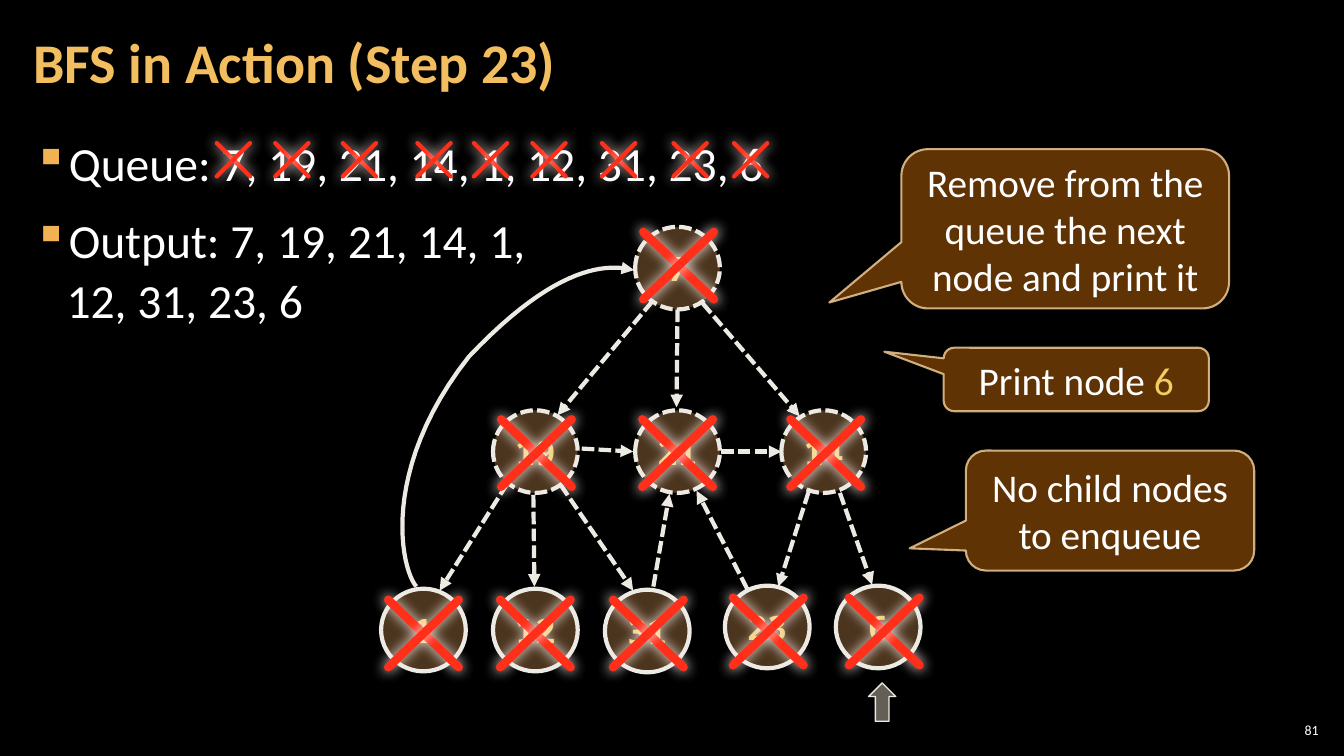
from lxml import etree
from pptx import Presentation
from pptx.dml.color import RGBColor
from pptx.enum.dml import MSO_LINE
from pptx.enum.shapes import MSO_CONNECTOR, MSO_SHAPE
from pptx.enum.text import MSO_ANCHOR, PP_ALIGN
from pptx.oxml.ns import qn
from pptx.util import Inches, Pt

DASHED = MSO_LINE.SQUARE_DOT
STRAIGHT = MSO_CONNECTOR.STRAIGHT
OVAL = MSO_SHAPE.OVAL
CALLOUT = MSO_SHAPE.ROUNDED_RECTANGULAR_CALLOUT
ARROW = MSO_SHAPE.RIGHT_ARROW
MIDDLE, TOP = MSO_ANCHOR.MIDDLE, MSO_ANCHOR.TOP
LEFT, CENTER, RIGHT = PP_ALIGN.LEFT, PP_ALIGN.CENTER, PP_ALIGN.RIGHT

BLACK = RGBColor(0x00, 0x00, 0x00)
WHITE = RGBColor(0xFF, 0xFF, 0xFF)
TITLE_GOLD = RGBColor(0xF3, 0xBE, 0x60)
BULLET_GOLD = RGBColor(0xF2, 0xB2, 0x54)
NUMBER_GOLD = RGBColor(0xF3, 0xCD, 0x60)
NODE_BROWN = RGBColor(0x6C, 0x4C, 0x2C)
CALLOUT_BROWN = RGBColor(0x66, 0x36, 0x06)
CALLOUT_EDGE = RGBColor(0xF8, 0xD4, 0x9E)
IVORY = RGBColor(0xEC, 0xEA, 0xE3)
ARROW_GREY = RGBColor(0xC7, 0xBF, 0xAC)
RED = RGBColor(0xFF, 0x2F, 0x19)
GLOW = RGBColor(0xFF, 0xED, 0xEB)

TEXT_FONT, NODE_FONT = "Calibri", "Noto Sans Mono"
TITLE = "BFS in Action (Step 23)"
PAGE_NUMBER = "81"
BULLETS = [
    ["Queue: 7, 19, 21, 14, 1, 12, 31, 23, 6"],
    ["Output: 7, 19, 21, 14, 1,", "12, 31, 23, 6"],
]
QUEUE_CROSSES = [2.15, 2.73, 3.4, 4.14, 4.7, 5.28, 5.97, 6.68, 7.28]
QUEUE_CROSS_TOP, QUEUE_CROSS_SIZE = 1.42, 0.33

NODE_WIDTH, NODE_HEIGHT = 0.84, 0.82
CROSS_WIDTH, CROSS_HEIGHT = 0.7, 0.67
LEVELS = [
    (DASHED, [("7", 6.3, 2.25, 6.38, 2.3)]),
    (DASHED, [("19", 4.89, 4.07, 4.97, 4.16), ("21", 6.3, 4.07, 6.37, 4.16),
              ("14", 7.75, 4.07, 7.84, 4.16)]),
    (None, [("1", 3.78, 5.84, 3.85, 5.95), ("12", 4.89, 5.84, 4.96, 5.95),
            ("31", 6, 5.85, 6.08, 5.95), ("23", 7.19, 5.81, 7.27, 5.93),
            ("6", 8.29, 5.81, 8.42, 5.93)]),
]
EDGES = {
    ("7", "19"): (6.47, 2.99, 5.53, 4.12),
    ("7", "21"): (6.72, 3.07, 6.71, 4.04),
    ("7", "14"): (6.97, 3.01, 7.93, 4.13),
    ("19", "21"): (5.77, 4.45, 6.28, 4.48),
    ("21", "14"): (7.15, 4.48, 7.75, 4.48),
    ("19", "1"): (5.03, 4.8, 4.36, 5.86),
    ("19", "12"): (5.29, 4.91, 5.3, 5.82),
    ("19", "31"): (5.56, 4.81, 6.28, 5.86),
    ("31", "21"): (6.48, 5.82, 6.64, 4.9),
    ("23", "21"): (7.41, 5.84, 6.91, 4.87),
    ("14", "23"): (8.02, 4.88, 7.72, 5.82),
    ("14", "6"): (8.33, 4.89, 8.65, 5.8),
}
BACK_EDGE = [
    [(4.13, 5.82), (3.98, 5.65), (3.76, 4.67), (4.65, 3.54)],
    [(4.65, 3.54), (5.54, 2.6), (6.04, 2.62), (6.29, 2.68)],
]
CURVE_STEPS = 24
CALLOUTS = [
    ((8.94, 1.48, 3.25, 1.58), (-0.72, 0.463),
     [("Remove from the queue the next node and print it", WHITE)]),
    ((9.58, 4.47, 2.86, 1.19), (-0.695, 0.315), [("No child nodes to enqueue", WHITE)]),
    ((9.36, 3.45, 2.63, 0.63), (-0.724, -0.437),
     [("Print node ", WHITE), ("6", NUMBER_GOLD)]),
]


def add_run(paragraph, text, size, color, font=TEXT_FONT, bold=False):
    run = paragraph.add_run()
    run.text = text
    run.font.name, run.font.size, run.font.bold = font, Pt(size), bold
    run.font.color.rgb = color


def add_text_box(slide, box, anchor, side_inset):
    frame = slide.shapes.add_textbox(*map(Inches, box)).text_frame
    frame.word_wrap, frame.vertical_anchor = True, anchor
    frame.margin_left = frame.margin_right = Inches(side_inset)
    frame.margin_top = frame.margin_bottom = Inches(0.04)
    return frame


def set_alpha(fill_element, percent):
    alpha = etree.SubElement(fill_element.find(qn("a:srgbClr")), qn("a:alpha"))
    alpha.set("val", str(percent * 1000))


def style_line(shape, color, width, dash=None, arrow=False):
    shape.line.color.rgb, shape.line.width = color, Pt(width)
    if dash:
        shape.line.dash_style = dash
    outline = shape.element.spPr.find(qn("a:ln"))
    if arrow:
        etree.SubElement(outline, qn("a:tailEnd"), type="triangle")
    return outline


def add_filled_shape(shapes, kind, box, fill, fill_alpha):
    shape = shapes.add_shape(kind, *map(Inches, box))
    shape.shadow.inherit = False
    shape.fill.solid()
    shape.fill.fore_color.rgb = fill
    set_alpha(shape.element.spPr.find(qn("a:solidFill")), fill_alpha)
    shape.text_frame.vertical_anchor = MIDDLE
    shape.text_frame.paragraphs[0].alignment = CENTER
    return shape


def add_line(shapes, ends, color, width, dash=None, arrow=False):
    connector = shapes.add_connector(STRAIGHT, *map(Inches, ends))
    outline = style_line(connector, color, width, dash, arrow)
    effects = etree.SubElement(connector.element.spPr, qn("a:effectLst"))
    return outline, effects


def add_cross(shapes, left, top, width, height, weight):
    right, bottom = left + width, top + height
    for ends in ((left, top, right, bottom), (right, top, left, bottom)):
        outline, effects = add_line(shapes, ends, RED, weight)
        outline.set("cap", "rnd")
        shadow = etree.SubElement(effects, qn("a:outerShdw"), blurRad=str(Pt(10)),
                                  dist="0", dir="5400000", algn="ctr", rotWithShape="0")
        etree.SubElement(shadow, qn("a:srgbClr"), val=str(GLOW))


def curve_point(controls, t):
    weights = ((1 - t) ** 3, 3 * t * (1 - t) ** 2, 3 * t * t * (1 - t), t ** 3)
    return tuple(Inches(sum(w * point[axis] for w, point in zip(weights, controls)))
                 for axis in (0, 1))


def add_back_edge(shapes):
    points = [curve_point(controls, step / CURVE_STEPS)
              for controls in BACK_EDGE for step in range(1, CURVE_STEPS + 1)]
    builder = shapes.build_freeform(*curve_point(BACK_EDGE[0], 0))
    builder.add_line_segments(points, close=False)
    curve = builder.convert_to_shape()
    curve.shadow.inherit = False
    curve.fill.background()
    style_line(curve, IVORY, 3, arrow=True)


def add_bullets(slide):
    frame = add_text_box(slide, (0.21, 1.26, 12.91, 6.09), TOP, 0.12)
    for index, lines in enumerate(BULLETS):
        paragraph = frame.add_paragraph() if index else frame.paragraphs[0]
        properties = paragraph._p.get_or_add_pPr()
        properties.set("marL", str(Inches(0.33)))
        properties.set("indent", str(Inches(-0.33)))
        bullet_color = etree.SubElement(properties, qn("a:buClr"))
        etree.SubElement(bullet_color, qn("a:srgbClr"), val=str(BULLET_GOLD))
        etree.SubElement(properties, qn("a:buChar"), char="▪")
        paragraph.line_spacing, paragraph.space_after = 1.05, Pt(6)
        paragraph.space_before = Pt(6 if index else 0)
        for number, line in enumerate(lines):
            if number:
                paragraph.add_line_break()
            add_run(paragraph, line, 34, WHITE)


def add_tree(slide):
    tree = slide.shapes.add_group_shape().shapes
    for ends in EDGES.values():
        add_line(tree, ends, IVORY, 3, DASHED, arrow=True)
    add_back_edge(tree)
    for dash, nodes in LEVELS:
        for label, left, top, cross_left, cross_top in nodes:
            node = add_filled_shape(tree, OVAL, (left, top, NODE_WIDTH, NODE_HEIGHT),
                                    NODE_BROWN, 70)
            style_line(node, IVORY, 3, dash)
            node.text_frame.word_wrap = False
            add_run(node.text_frame.paragraphs[0], label, 24, NUMBER_GOLD, NODE_FONT, True)
            add_cross(tree, cross_left, cross_top, CROSS_WIDTH, CROSS_HEIGHT, 6)


def main():
    presentation = Presentation()
    presentation.slide_width, presentation.slide_height = Inches(13.33), Inches(7.5)
    slide = presentation.slides.add_slide(presentation.slide_layouts[6])
    slide.background.fill.solid()
    slide.background.fill.fore_color.rgb = BLACK

    page = add_text_box(slide, (12.65, 7.14, 0.47, 0.21), MIDDLE, 0.04).paragraphs[0]
    page.alignment = RIGHT
    add_run(page, PAGE_NUMBER, 10, WHITE)
    add_bullets(slide)
    title = add_text_box(slide, (0.21, 0.04, 10.47, 1.21), MIDDLE, 0.12).paragraphs[0]
    title.alignment, title.line_spacing = LEFT, 0.9
    add_run(title, TITLE, 40, TITLE_GOLD, bold=True)

    for left in QUEUE_CROSSES:
        add_cross(slide.shapes.add_group_shape().shapes, left, QUEUE_CROSS_TOP,
                  QUEUE_CROSS_SIZE, QUEUE_CROSS_SIZE, 3)
    pointer = add_filled_shape(slide.shapes, ARROW, (8.56, 6.83, 0.38, 0.27), ARROW_GREY, 50)
    pointer.rotation = 270
    style_line(pointer, IVORY, 1)
    add_tree(slide)

    for box, tip, runs in CALLOUTS:
        callout = add_filled_shape(slide.shapes, CALLOUT, box, CALLOUT_BROWN, 95)
        callout.adjustments[0], callout.adjustments[1] = tip
        outline = style_line(callout, CALLOUT_EDGE, 1.5)
        set_alpha(outline.find(qn("a:solidFill")), 80)
        callout.text_frame.word_wrap = True
        for text, color in runs:
            add_run(callout.text_frame.paragraphs[0], text, 28, color)
    presentation.save("out.pptx")


if __name__ == "__main__":
    main()
